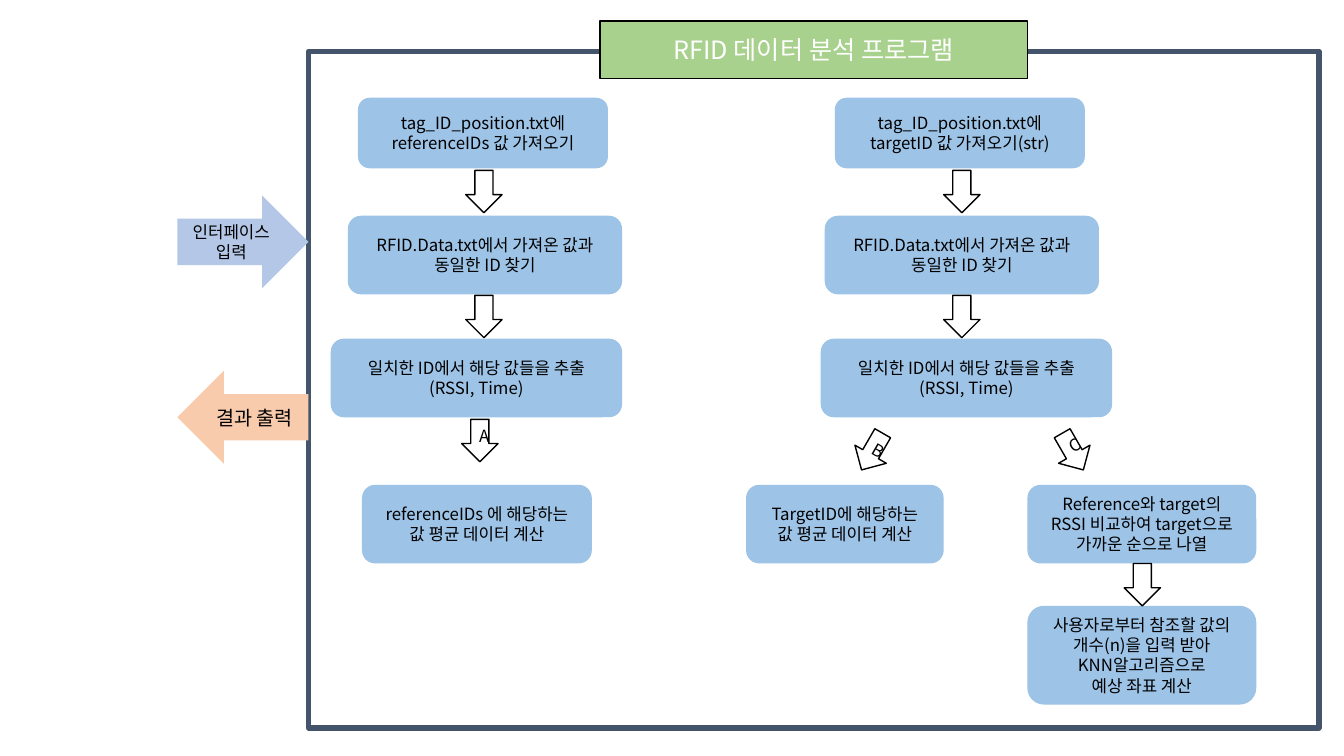
from pptx import Presentation
from pptx.dml.color import RGBColor
from pptx.enum import shapes, text
from pptx.oxml import parse_xml
from pptx.oxml.ns import nsdecls, qn
from pptx.util import Inches, Pt

FONT = "Noto Sans CJK KR"
KIND = shapes.MSO_SHAPE
STEP_FILL = "9DC3E6"


def style(shape, lines=(), fill=None, line=None, weight=1, size=12, color="000000"):
    """Fill, outline and centred text of one shape."""
    if fill:
        shape.fill.solid()
        shape.fill.fore_color.rgb = RGBColor.from_string(fill)
    else:
        shape.fill.background()
    if line:
        shape.line.color.rgb = RGBColor.from_string(line)
        shape.line.width = Pt(weight)
    else:
        shape.line.fill.background()
    frame = shape.text_frame
    frame.word_wrap = True
    frame.vertical_anchor = text.MSO_ANCHOR.MIDDLE
    for index, words in enumerate(lines):
        para = frame.add_paragraph() if index else frame.paragraphs[0]
        para.alignment = text.PP_ALIGN.CENTER
        span = para.add_run()
        span.text = words
        for name, value in {"name": FONT, "size": Pt(size), "bold": False}.items():
            setattr(span.font, name, value)
        span.font.color.rgb = RGBColor.from_string(color)
        latin = span.font._element.find(qn("a:latin"))
        latin.addnext(parse_xml(f'<a:ea {nsdecls("a")} typeface="{FONT}"/>'))


def add(kind, place, lines=(), rotation=0, **look):
    """Add a preset shape at left, top, width, height in inches."""
    shape = page.shapes.add_shape(kind, *[Inches(value) for value in place])
    shape.shadow.inherit = False
    shape.rotation = rotation
    style(shape, lines, **look)


deck = Presentation()
deck.slide_width, deck.slide_height = Inches(13.33), Inches(7.5)
page = deck.slides.add_slide(deck.slide_layouts[5])

# Program frame
add(KIND.RECTANGLE, (3.06, 0.51, 10.02, 6.71), line="44546A", weight=4)

# Title on the top edge of the frame
title = page.shapes.title
title_place = {"left": 5.95, "top": 0.21, "width": 4.24, "height": 0.57}
for name, value in title_place.items():
    setattr(title, name, Inches(value))
title._element.spPr.append(parse_xml(
    f'<a:prstGeom {nsdecls("a")} prst="roundRect"><a:avLst/></a:prstGeom>'))
style(title, ["RFID 데이터 분석 프로그램"], fill="A9D18E", line="000000",
      size=18, color="FFFFFF")
page.shapes._spTree.append(title._element)

# Input and output
add(KIND.RIGHT_ARROW, (1.76, 1.94, 1.3, 0.92), ["인터페이스", "입력"], fill="B4C7E7")
add(KIND.LEFT_ARROW, (1.76, 3.68, 1.3, 0.92), ["결과 출력"], fill="F8CBAD", size=14)

# First three steps of both columns: column shift, third box left, value read
columns = [
    (0, 3.28, "referenceIDs 값 가져오기"),
    (4.73, 8.14, "targetID 값 가져오기(str)"),
]
steps = []
for shift, extract_left, value_read in columns:
    steps += [
        ((3.55 + shift, 0.97, 2.48, 0.7), ["tag_ID_position.txt에", value_read]),
        ((3.45 + shift, 2.14, 2.72, 0.78),
         ["RFID.Data.txt에서 가져온 값과", "동일한 ID 찾기"]),
        ((extract_left, 3.36, 2.89, 0.78),
         ["일치한 ID에서 해당 값들을 추출", "(RSSI, Time)"]),
    ]

# Final steps
steps += [
    ((3.59, 4.81, 2.28, 0.78), ["referenceIDs 에 해당하는", "값 평균 데이터 계산"]),
    ((7.4, 4.81, 1.96, 0.78), ["TargetID에 해당하는", "값 평균 데이터 계산"]),
    ((10.19, 4.81, 2.27, 0.78),
     ["Reference와 target의", "RSSI 비교하여 target으로 가까운 순으로 나열"]),
    ((10.19, 6.01, 2.27, 0.98),
     ["사용자로부터 참조할 값의 개수(n)을 입력 받아", "KNN알고리즘으로", "예상 좌표 계산"]),
]
for place, lines in steps:
    add(KIND.ROUNDED_RECTANGLE, place, lines, fill=STEP_FILL)

# Arrows between steps: left, top, rotation, label
arrows = [(left, top, 0, "") for left in (4.62, 9.36) for top in (1.69, 2.93)]
arrows += [
    (4.58, 4.16, 0, "A"),
    (8.47, 4.27, 30, "B"),
    (10.46, 4.27, 330, "C"),
    (11.15, 5.59, 0, ""),
]
for left, top, rotation, label in arrows:
    add(KIND.DOWN_ARROW, (left, top, 0.36, 0.42), [label] if label else [],
        rotation, line="000000")

deck.save("out.pptx")
